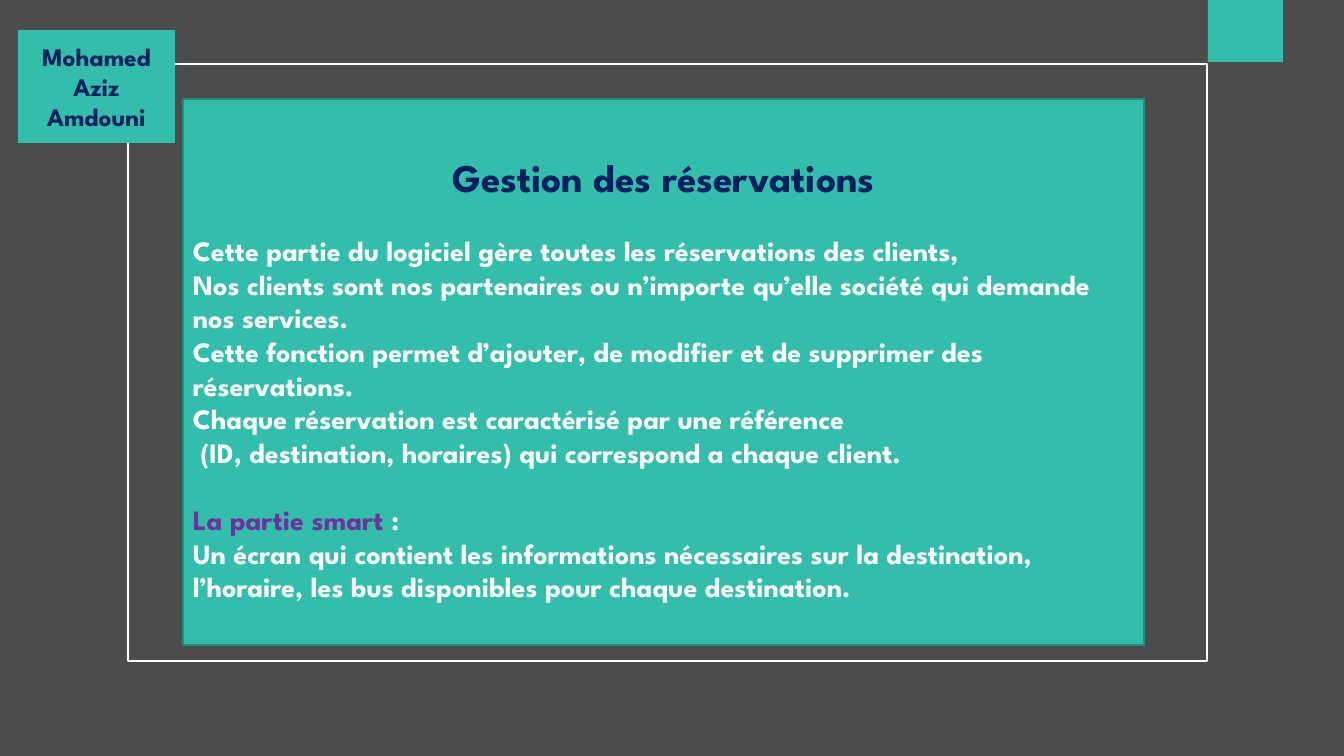
from lxml.etree import SubElement
from pptx import Presentation
from pptx.dml.color import RGBColor as RGB
from pptx.enum.shapes import MSO_SHAPE as SHAPE
from pptx.enum.text import MSO_ANCHOR as ANCHOR, PP_ALIGN as ALIGN
from pptx.oxml.ns import qn
from pptx.util import Emu, Pt

TONES = {"black": "000000", "teal": "32BEAA", "edge": "258D7E",
         "navy": "002060", "white": "FFFFFF", "violet": "7030A0"}
HEAD = {"alignment": ALIGN.CENTER}
LEFT = {"alignment": ALIGN.LEFT}
GAP = {**LEFT, "space_before": Pt(24)}

BODY = [
    (GAP, [("Cette partie du logiciel gère toutes les réservations des clients,", "white")]),
    (LEFT, [("Nos clients sont nos partenaires ou n’importe qu’elle société qui demande nos services.", "white")]),
    (LEFT, [("Cette fonction permet d’ajouter, de modifier et de supprimer des réservations.", "white")]),
    (LEFT, [("Chaque réservation est caractérisé par une référence", "white")]),
    (LEFT, [(" (ID, destination, horaires) qui correspond a chaque client.", "white")]),
    (GAP, [("La partie smart ", "violet"), (":", "white")]),
    (LEFT, [("Un écran qui contient les informations nécessaires sur la destination, "
             "l’horaire, les bus disponibles pour chaque destination.", "white")]),
]


class Deck:
    """Holds the style and the current slide, and draws its elements."""

    def __init__(self, wide, high):
        self.scale = 914400 / 100.8
        self.face = {"name": "League Spartan", "bold": True}
        self.file = Presentation()
        self.file.slide_width = self.px(wide)
        self.file.slide_height = self.px(high)
        self.slide = self.file.slides.add_slide(self.file.slide_layouts[6])

    def px(self, size):
        return Emu(round(size * self.scale))

    def rect(self, box, fill=None, line=None, alpha=None):
        shape = self.slide.shapes.add_shape(SHAPE.RECTANGLE, *map(self.px, box))
        shape.shadow.inherit = False
        if fill:
            shape.fill.solid()
            shape.fill.fore_color.rgb = RGB.from_string(TONES[fill])
        else:
            shape.fill.background()
        if line:
            shape.line.color.rgb = RGB.from_string(TONES[line])
            shape.line.width = Pt(1)
        else:
            shape.line.fill.background()
        if alpha:
            tone = shape.fill._xPr.find(qn("a:solidFill"))[0]
            SubElement(tone, qn("a:alpha")).set("val", str(alpha * 1000))
        return shape

    def text(self, shape, paras, top=5, anchor=ANCHOR.TOP):
        frame = shape.text_frame
        form = {"word_wrap": True, "vertical_anchor": anchor, "margin_top": self.px(top)}
        self.style(frame, form)
        for i, (form, runs, size) in enumerate(paras):
            para = frame.add_paragraph() if i else frame.paragraphs[0]
            self.style(para, form)
            for words, tone in runs:
                run = para.add_run()
                run.text = words
                self.style(run.font, {**self.face, "size": Pt(size)})
                run.font.color.rgb = RGB.from_string(TONES[tone])

    def style(self, item, form):
        for key, value in form.items():
            setattr(item, key, value)


def main():
    deck = Deck(1344, 756)
    deck.rect((0, 0, 1344, 756), "black", alpha=70)
    deck.rect((1208, 0, 75, 62), "teal")
    panel = deck.rect((183, 99, 961, 546), "teal", "edge")
    title = (HEAD, [("Gestion des réservations", "navy")], 28)
    deck.text(panel, [title] + [(form, runs, 20) for form, runs in BODY], top=54)
    deck.rect((128, 64, 1079, 597), line="white")
    name = deck.rect((18, 30, 157, 113), "teal")
    deck.text(name, [(HEAD, [("Mohamed Aziz Amdouni", "navy")], 18)], anchor=ANCHOR.MIDDLE)
    deck.file.save("out.pptx")


if __name__ == "__main__":
    main()
